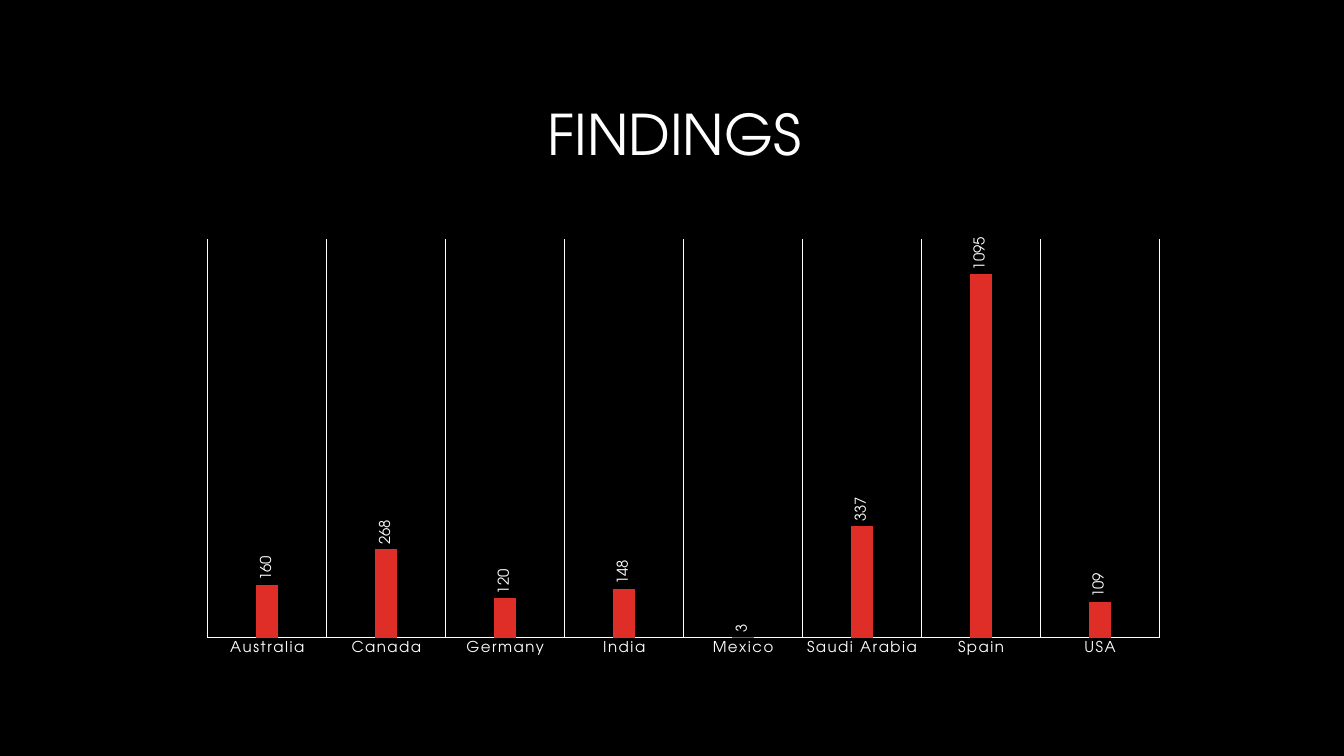
from typing import NamedTuple

from pptx import Presentation
from pptx.chart.chart import Chart
from pptx.chart.data import CategoryChartData
from pptx.dml.color import RGBColor
from pptx.enum.chart import XL_CHART_TYPE as ChartType
from pptx.enum.chart import XL_LABEL_POSITION as LabelPosition
from pptx.enum.chart import XL_TICK_MARK as TickMark
from pptx.enum.text import MSO_ANCHOR as Anchor
from pptx.enum.text import PP_ALIGN as Align
from pptx.oxml import parse_xml
from pptx.oxml.ns import nsdecls
from pptx.slide import Slide
from pptx.util import Inches, Pt

COLORS = {"background": "000000", "text": "FFFFFF", "bar": "DF2E28"}
FONT = "TeX Gyre Adventor"
LABEL_SIZE = 10.64
PLOT_AREA = {"x": 0.039, "y": 0.066, "w": 0.94, "h": 0.86}


class Finding(NamedTuple):
    country: str
    count: int


FINDINGS = [
    Finding("Australia", 160),
    Finding("Canada", 268),
    Finding("Germany", 120),
    Finding("India", 148),
    Finding("Mexico", 3),
    Finding("Saudi Arabia", 337),
    Finding("Spain", 1095),
    Finding("USA", 109),
]


def color(name: str) -> RGBColor:
    return RGBColor.from_string(COLORS[name])


def style_font(font, size: float) -> None:
    font.name = FONT
    font.size = Pt(size)
    font.bold = False
    font.color.rgb = color("text")


def style_line(line) -> None:
    line.color.rgb = color("text")
    line.width = Pt(0.75)


def add_title(slide: Slide, text: str) -> None:
    title = slide.shapes.title
    title.left, title.top = Inches(0.8), Inches(0.83)
    title.width, title.height = Inches(11.78), Inches(1.06)
    frame = title.text_frame
    frame.text = text
    frame.vertical_anchor = Anchor.MIDDLE
    heading = frame.paragraphs[0]
    heading.alignment = Align.CENTER
    heading.line_spacing = 0.9
    style_font(heading.font, 40)


def place_plot_area(chart: Chart) -> None:
    plot_area = chart._chartSpace.xpath("c:chart/c:plotArea")[0]
    for layout in plot_area.xpath("c:layout"):
        plot_area.remove(layout)
    modes = '<c:xMode val="edge"/><c:yMode val="edge"/>'
    extent = "".join(f'<c:{key} val="{part}"/>' for key, part in PLOT_AREA.items())
    plot_area.insert(0, parse_xml(
        f'<c:layout {nsdecls("c")}><c:manualLayout><c:layoutTarget val="inner"/>'
        f"{modes}{extent}</c:manualLayout></c:layout>"
    ))


def add_findings_chart(slide: Slide, findings: list[Finding]) -> None:
    data = CategoryChartData()
    data.categories = [finding.country for finding in findings]
    data.add_series("Series 1", [finding.count for finding in findings])
    chart = slide.shapes.add_chart(
        ChartType.COLUMN_CLUSTERED,
        Inches(1.67), Inches(2.07), Inches(10.04), Inches(4.6), data,
    ).chart
    chart.has_legend = False
    chart.has_title = False
    style_font(chart.font, 10)
    place_plot_area(chart)

    countries = chart.category_axis
    countries.major_tick_mark = countries.minor_tick_mark = TickMark.NONE
    countries.has_major_gridlines = True
    style_line(countries.major_gridlines.format.line)
    style_line(countries.format.line)
    style_font(countries.tick_labels.font, LABEL_SIZE)
    country_text = countries._element.xpath("c:txPr//a:defRPr")[0]
    country_text.set("kern", "1200")
    country_text.set("spc", "120")
    countries._element.xpath("c:txPr/a:bodyPr")[0].set("rot", "-60000000")

    counts = chart.value_axis
    counts.minimum_scale, counts.maximum_scale = 0, 1200
    counts.has_major_gridlines = False
    counts.visible = False

    plot = chart.plots[0]
    plot.gap_width = 444
    plot.overlap = -90
    plot.vary_by_categories = False
    bars = plot.series[0]
    bars.format.fill.solid()
    bars.format.fill.fore_color.rgb = color("bar")

    labels = bars.data_labels
    labels.show_value = True
    labels.position = LabelPosition.OUTSIDE_END
    style_font(labels.font, LABEL_SIZE)
    label_body = labels._element.xpath("c:txPr/a:bodyPr")[0]
    label_body.set("rot", "-5400000")
    label_body.set("vert", "horz")


def main() -> None:
    deck = Presentation()
    deck.slide_width, deck.slide_height = Inches(13.33), Inches(7.5)
    slide = deck.slides.add_slide(deck.slide_layouts[5])
    slide.background.fill.solid()
    slide.background.fill.fore_color.rgb = color("background")
    add_title(slide, "FINDINGS")
    add_findings_chart(slide, FINDINGS)
    deck.save("out.pptx")


if __name__ == "__main__":
    main()
